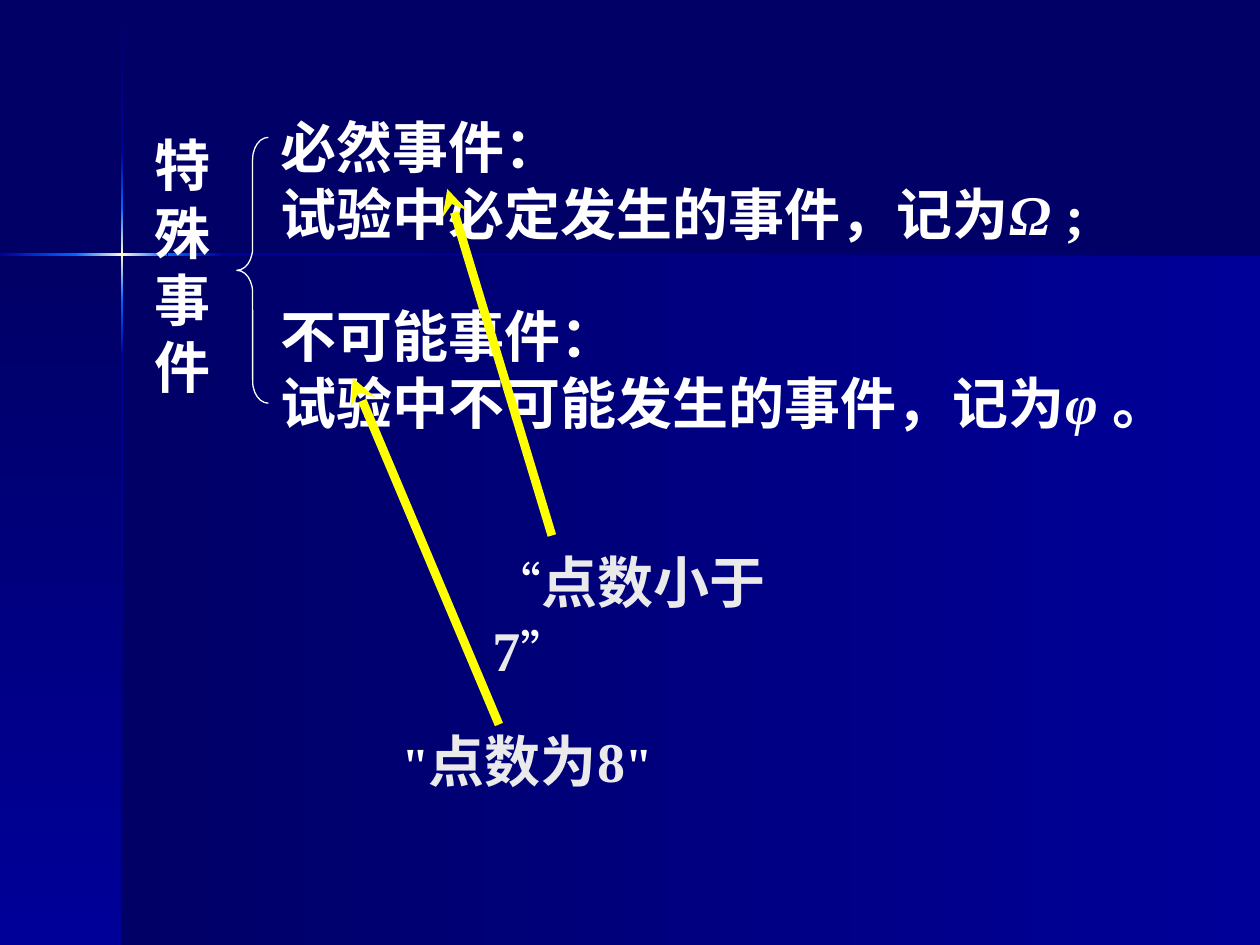
from copy import deepcopy
from dataclasses import dataclass

from pptx import Presentation
from pptx.dml.color import RGBColor
from pptx.enum.dml import MSO_FILL
from pptx.enum.lang import MSO_LANGUAGE_ID
from pptx.enum.shapes import MSO_CONNECTOR, MSO_SHAPE
from pptx.enum.text import MSO_AUTO_SIZE
from pptx.oxml.ns import qn
from pptx.util import Inches, Pt
from lxml import etree

RECTANGLE = MSO_SHAPE.RECTANGLE
LEFT_BRACE = MSO_SHAPE.LEFT_BRACE
STRAIGHT = MSO_CONNECTOR.STRAIGHT
CHINESE = MSO_LANGUAGE_ID.SIMPLIFIED_CHINESE
GROW = MSO_AUTO_SIZE.SHAPE_TO_FIT_TEXT


@dataclass(frozen=True)
class Theme:
    font: str = "Times New Roman"
    night: str = "000066"
    navy: str = "000099"
    blue: str = "0066FF"
    glow: str = "FFFFCC"
    white: str = "FFFFFF"
    pale: str = "EAEAEA"
    arrow: str = "FFFF00"
    body: int = 32
    quote: int = 28
    arrow_width: int = 5


THEME = Theme()
WIDTH, HEIGHT = 10, 7.5


def color(value):
    return RGBColor.from_string(value)


def add_gradient(slide, box, colors, downward):
    """Rectangle with evenly spaced gradient stops."""
    shape = slide.shapes.add_shape(RECTANGLE, *map(Inches, box))
    shape.shadow.inherit = False
    shape.line.fill.background()
    shape.fill.gradient()
    shape.fill.gradient_angle = 270 if downward else 0
    stop_list = shape._element.spPr.find(".//" + qn("a:gsLst"))
    while len(stop_list) < len(colors):
        stop_list.append(deepcopy(stop_list[-1]))
    for index, (stop, value) in enumerate(zip(shape.fill.gradient_stops, colors)):
        stop.position = index / (len(colors) - 1)
        stop.color.rgb = color(value)


def add_text(slide, box, paragraphs, wrap=True):
    """Each paragraph is a list of (text, size, color, bold, italic) runs."""
    text_frame = slide.shapes.add_textbox(*map(Inches, box)).text_frame
    text_frame.word_wrap = wrap
    text_frame.auto_size = GROW
    for index, runs in enumerate(paragraphs):
        paragraph = text_frame.add_paragraph() if index else text_frame.paragraphs[0]
        for text, size, value, bold, italic in runs:
            run = paragraph.add_run()
            run.text = text
            font = run.font
            font.name, font.size = THEME.font, Pt(size)
            font.bold, font.italic = bold, italic
            font.color.rgb = color(value)
            font.language_id = CHINESE


def body(text, value=THEME.white, italic=False):
    return text, THEME.body, value, True, italic


def quote(text, bold):
    return text, THEME.quote, THEME.white, bold, False


def add_backdrop(slide, box):
    """Two panels and a glowing cross where they meet."""
    left, top, width, height = box
    cross_x, cross_y, thick = 0.97, 2.02, 0.02
    right, bottom = left + width, top + height
    x, y = left + cross_x, top + cross_y
    slide.background.fill.solid()
    slide.background.fill.fore_color.rgb = color(THEME.night)

    # Panels
    rise = (THEME.night, THEME.navy)
    add_gradient(slide, (x, y, right - x, bottom - y), rise, False)
    add_gradient(slide, (left, y, x - left, bottom - y), rise, True)

    # Cross arms: successive strips along each axis
    kindle = (THEME.navy, THEME.blue)
    flare = (THEME.blue, THEME.glow, THEME.blue)
    down_strips = ((0.01, 1.21, rise), (2.82, height, rise[::-1]),
                   (2.38, 2.82, kindle[::-1]), (1.21, 1.65, kindle),
                   (1.65, 2.38, flare))
    across_strips = ((1.77, width, rise[::-1]), (0, 0.61, kindle),
                     (1.33, 1.77, kindle[::-1]), (0.6, 1.33, flare))
    for start, end, colors in down_strips:
        add_gradient(slide, (x - thick / 2, top + start, thick, end - start),
                     colors, True)
    for start, end, colors in across_strips:
        add_gradient(slide, (left + start, y - thick / 2, end - start, thick),
                     colors, False)


def add_definitions(slide, box):
    """Vertical heading, brace and the two definitions."""
    left, top, width, height = box
    add_text(slide, (left, top + 0.15, 0.67, 2.24), [[body("特殊事件")]])

    brace = slide.shapes.add_shape(
        LEFT_BRACE, *map(Inches, (left + 0.75, top + 0.25, 0.25, 2.11)))
    brace.shadow.inherit = False
    brace.adjustments[0] = 0.7
    brace.fill.background()
    brace.line.color.rgb = color(THEME.white)
    brace.line.width = Pt(0.75)

    definitions = (
        ("必然事件：", "试验中必定发生的事件，记为", "Ω ", ";"),
        ("不可能事件：", "试验中不可能发生的事件，记为", "φ ", "。"),
    )
    for row, (name, meaning, symbol, ending) in enumerate(definitions):
        add_text(slide, (left + 1, top + 1.5 * row, width - 1, height - 1.5),
                 [[body(name)],
                  [body(meaning), body(symbol, italic=True), body(ending)]])


def add_arrow(slide, start, end):
    arrow = slide.shapes.add_connector(STRAIGHT, *map(Inches, (*start, *end)))
    arrow.line.color.rgb = color(THEME.arrow)
    arrow.line.width = Pt(THEME.arrow_width)
    etree.SubElement(arrow.line._get_or_add_ln(), qn("a:tailEnd"), type="stealth")
    etree.SubElement(arrow._element.spPr, qn("a:effectLst"))


def add_examples(slide, box):
    """Dice examples with arrows to the definitions."""
    left, top, width, height = box
    line = 0.64
    add_text(slide, (left, top + height - line, 2.39, line),
             [[quote('"', True), body("点数为8", THEME.pale), quote('"', True)]],
             wrap=False)
    add_text(slide, (left + 0.72, top, width - 0.72, line),
             [[quote("“", False), body("点数小于7", THEME.pale), quote("”", False)]])
    add_arrow(slide, (left + 1.29, top - 0.05), (left + 0.46, top - 2.8))
    add_arrow(slide, (left + 0.87, top + 1.45), (left - 0.29, top - 1.3))


def main():
    presentation = Presentation()
    presentation.slide_width, presentation.slide_height = Inches(WIDTH), Inches(HEIGHT)
    slide = presentation.slides.add_slide(presentation.slide_layouts[6])
    add_backdrop(slide, (0, 0, WIDTH, HEIGHT))
    add_definitions(slide, (1.13, 0.84, 8.6, 2.67))
    add_examples(slide, (3.09, 4.3, 3.41, 2.06))
    presentation.save("out.pptx")


if __name__ == "__main__":
    main()
